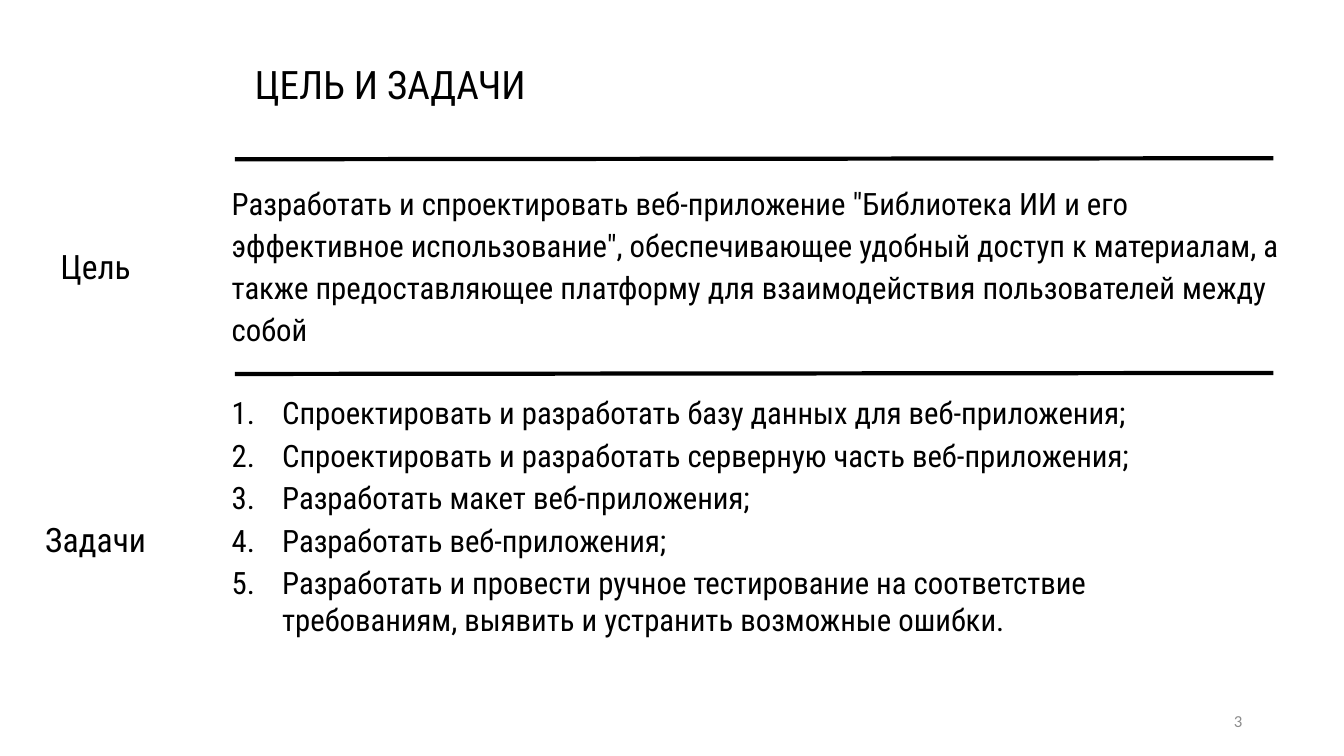
from pptx import Presentation
from pptx.dml.color import RGBColor
from pptx.enum.shapes import MSO_CONNECTOR
from pptx.enum.text import MSO_ANCHOR, MSO_AUTO_SIZE, PP_ALIGN
from pptx.oxml.ns import qn
from pptx.util import Inches, Pt
from lxml import etree

STRAIGHT = MSO_CONNECTOR.STRAIGHT
TOP, MIDDLE = MSO_ANCHOR.TOP, MSO_ANCHOR.MIDDLE
LEFT, CENTER, RIGHT = PP_ALIGN.LEFT, PP_ALIGN.CENTER, PP_ALIGN.RIGHT
NO_AUTOFIT = MSO_AUTO_SIZE.NONE
TITLE_ONLY = 5

BLACK = RGBColor(0x00, 0x00, 0x00)
GRAY = RGBColor(0x8C, 0x8C, 0x8C)
MAIN_FONT = "Roboto Condensed"
NUMBER_FONT = "Calibri"

GOAL = (
    'Разработать и спроектировать веб-приложение "Библиотека ИИ и его '
    'эффективное использование", обеспечивающее удобный доступ к материалам, '
    "а также предоставляющее платформу для взаимодействия пользователей "
    "между собой"
)
TASKS = [
    "Спроектировать и разработать базу данных для веб-приложения;",
    "Спроектировать и разработать серверную часть веб-приложения;",
    "Разработать макет веб-приложения;",
    "Разработать веб-приложения;",
    "Разработать и провести ручное тестирование на соответствие "
    "требованиям, выявить и устранить возможные ошибки.",
]


def fill_text(box, lines, size, align=LEFT, anchor=TOP, wrap=True,
              font=MAIN_FONT, color=BLACK, spacing=1.0, after=0):
    frame = box.text_frame
    frame.text = "\n".join(lines)
    frame.auto_size = NO_AUTOFIT
    frame.word_wrap = wrap
    frame.vertical_anchor = anchor
    for para in frame.paragraphs:
        para.alignment = align
        para.line_spacing = spacing
        para.space_before = Pt(0)
        para.space_after = Pt(after)
        para.font.name = font
        para.font.size = Pt(size)
        para.font.color.rgb = color


def add_text(page, left, top, width, height, lines, size, **style):
    box = page.shapes.add_textbox(
        Inches(left), Inches(top), Inches(width), Inches(height))
    fill_text(box, lines, size, **style)
    return box


def add_title(page, text):
    title = page.shapes.title
    title.left, title.top = Inches(2.29), Inches(0.48)
    title.width, title.height = Inches(3.16), Inches(0.64)
    fill_text(title, [text], 28, align=CENTER, spacing=1.15, after=6)


def number_paragraphs(box):
    for para in box.text_frame.paragraphs:
        properties = para._p.get_or_add_pPr()
        properties.set("marL", str(Inches(0.5)))
        properties.set("indent", str(-Inches(0.5)))
        bullet = etree.SubElement(properties, qn("a:buAutoNum"))
        bullet.set("type", "arabicPeriod")
        default_run = properties.find(qn("a:defRPr"))
        if default_run is not None:
            default_run.addprevious(bullet)


def add_divider(page, top):
    line = page.shapes.add_connector(
        STRAIGHT, Inches(2.33), Inches(top), Inches(12.63), Inches(top - 0.01))
    line.line.color.rgb = BLACK
    line.line.width = Pt(3)
    etree.SubElement(line._element.spPr, qn("a:effectLst"))


def main():
    deck = Presentation()
    deck.slide_width, deck.slide_height = Inches(13.33), Inches(7.5)
    page = deck.slides.add_slide(deck.slide_layouts[TITLE_ONLY])

    add_title(page, "ЦЕЛЬ И ЗАДАЧИ")
    add_text(page, 2.2, 1.73, 10.64, 1.76, [GOAL], 22, spacing=1.14)
    tasks = add_text(page, 2.2, 3.86, 10.28, 3.66, TASKS, 22, after=4)
    number_paragraphs(tasks)
    add_text(page, 9.42, 6.95, 3, 0.4, ["3"], 12, align=RIGHT, anchor=MIDDLE,
             font=NUMBER_FONT, color=GRAY)
    add_text(page, 0.5, 2.39, 0.92, 0.5, ["Цель"], 24, wrap=False)
    add_text(page, 0.35, 5.1, 1.22, 0.5, ["Задачи"], 24, wrap=False)
    for top in (1.58, 3.71):
        add_divider(page, top)

    deck.save("out.pptx")


if __name__ == "__main__":
    main()
